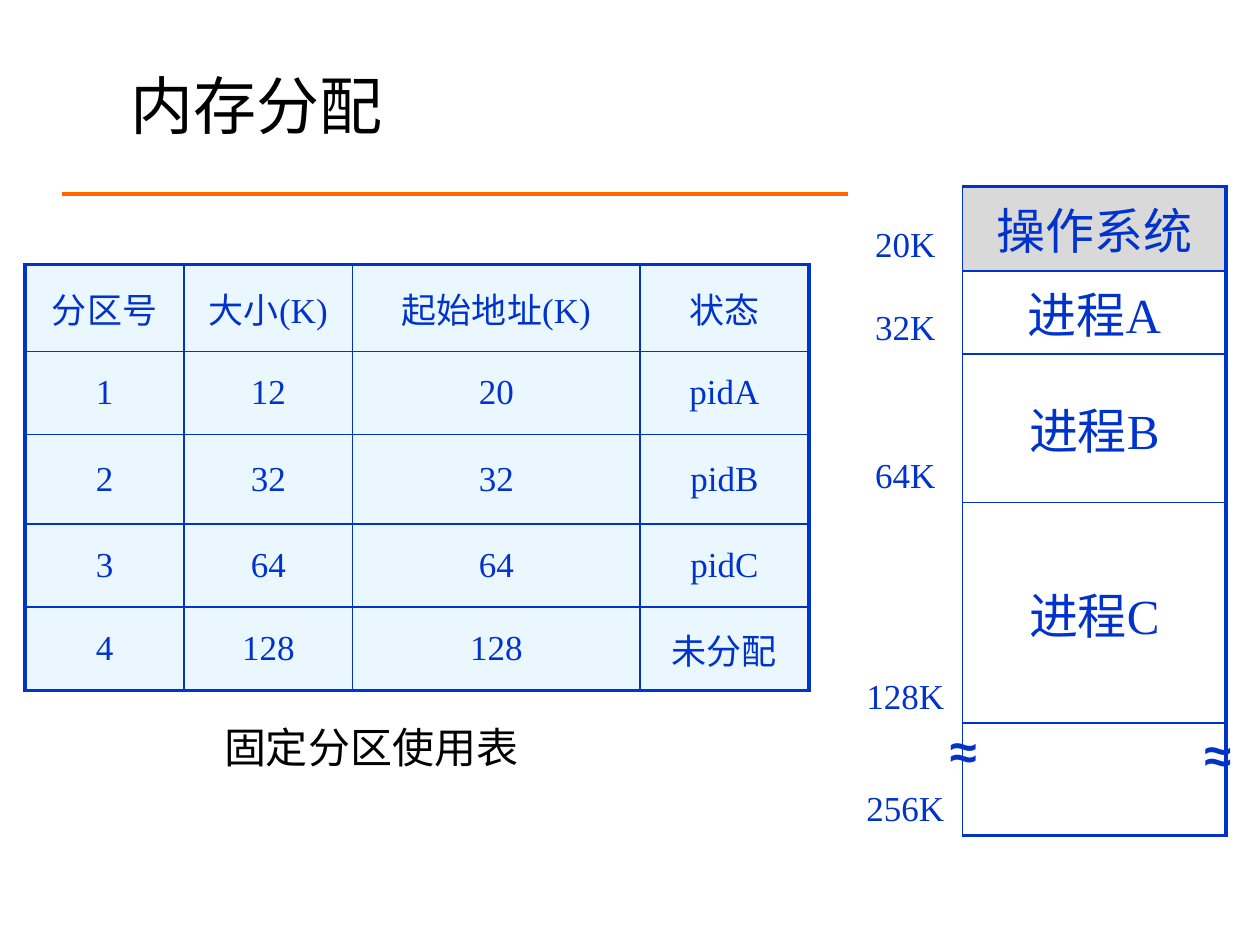
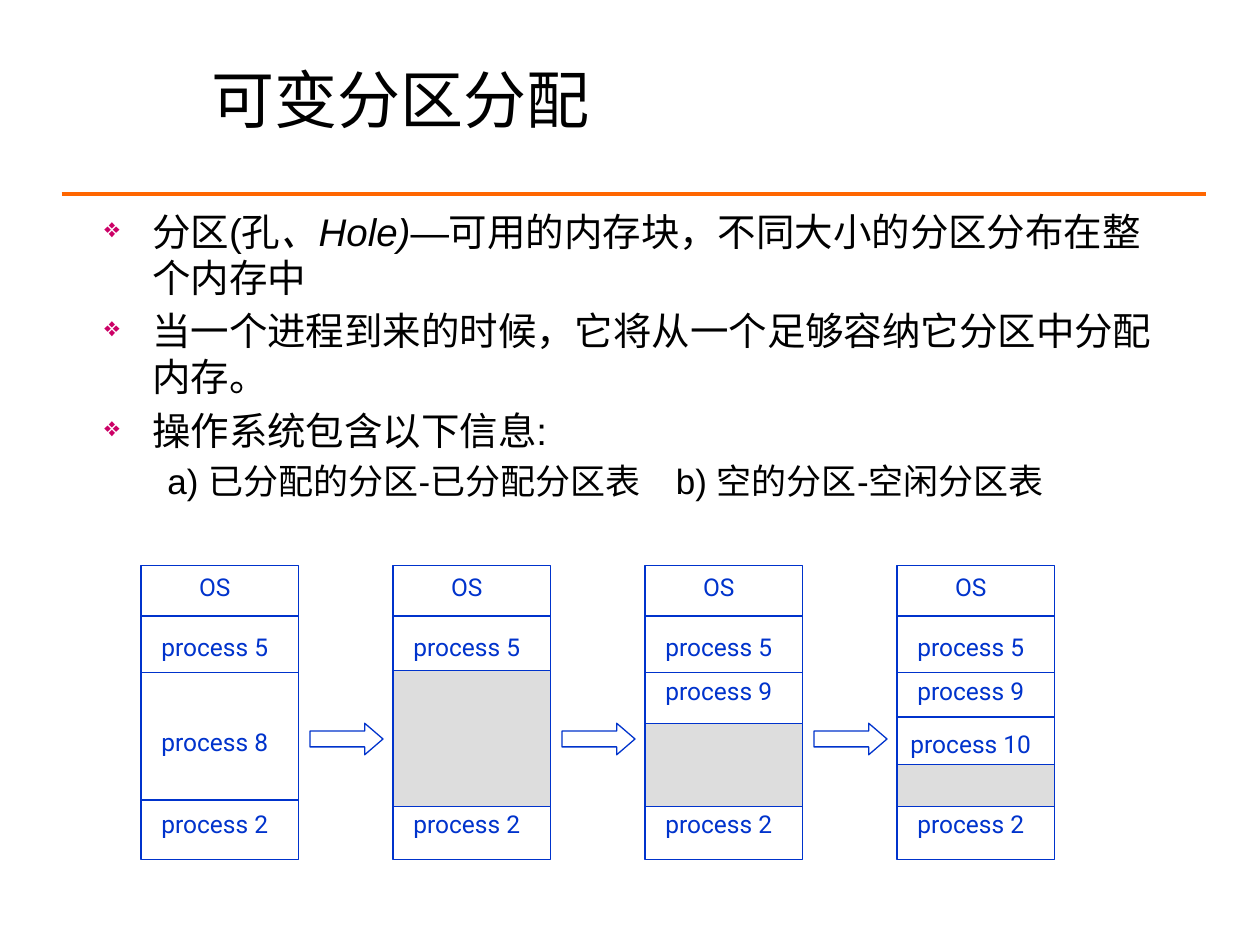
"""Build two slides on fixed and variable memory partitions."""
from lxml import etree
from pptx import Presentation
from pptx.dml.color import RGBColor
from pptx.enum.shapes import MSO_CONNECTOR, MSO_SHAPE
from pptx.enum.text import MSO_ANCHOR, PP_ALIGN
from pptx.oxml.ns import qn
from pptx.util import Inches, Pt

BLUE = RGBColor(0x00, 0x33, 0xCC)
ORANGE = RGBColor(0xFF, 0x66, 0x00)
PINK = RGBColor(0xCC, 0x00, 0x66)
BLACK = RGBColor(0x00, 0x00, 0x00)
WHITE = RGBColor(0xFF, 0xFF, 0xFF)
PALE = RGBColor(0xEB, 0xF7, 0xFF)
GREY = RGBColor(0xD9, 0xD9, 0xD9)
HOLE = RGBColor(0xDD, 0xDD, 0xDD)
LEFT, MID = PP_ALIGN.LEFT, PP_ALIGN.CENTER
TOP, HALF, LOW = MSO_ANCHOR.TOP, MSO_ANCHOR.MIDDLE, MSO_ANCHOR.BOTTOM
RECT, ARROW = MSO_SHAPE.RECTANGLE, MSO_SHAPE.RIGHT_ARROW
SANS, SERIF, LABEL = "Arial", "Times New Roman", "Roboto"


def put(frame, text, size, face=SANS, ink=BLACK, align=LEFT, bold=False):
    """Write one styled paragraph into a frame."""
    frame.word_wrap = True
    par = frame.paragraphs[0]
    par.text = text
    par.alignment = align
    font = par.font
    font.size, font.name, font.bold = Pt(size), face, bold
    font.color.rgb = ink


def rule(slide, left, right, y, ink, width):
    """Draw a level line without shadow."""
    line = slide.shapes.add_connector(
        MSO_CONNECTOR.STRAIGHT, Inches(left), Inches(y), Inches(right), Inches(y))
    line.line.color.rgb = ink
    line.line.width = Pt(width)
    etree.SubElement(line._element.spPr, qn("a:effectLst"))


deck = Presentation()
deck.slide_width, deck.slide_height = Inches(10), Inches(7.5)

pages = []
for title, area, anchor in [
    ("内存分配", (0.94, 0.47, 8.45, 0.72), HALF),
    ("可变分区分配", (1.58, 0.43, 6.93, 0.93), TOP),
]:
    page = deck.slides.add_slide(deck.slide_layouts[6])
    rule(page, 0.49, 9.57, 1.54, ORANGE, 2.25)
    frame = page.shapes.add_textbox(*map(Inches, area)).text_frame
    frame.vertical_anchor = anchor
    put(frame, title, 36)
    pages.append(page)
fixed, free = pages

caption = fixed.shapes.add_textbox(*map(Inches, (1.68, 5.68, 2.76, 0.55)))
put(caption.text_frame, "固定分区使用表", 24)

usage = [
    ("分区号", "大小(K)", "起始地址(K)", "状态"),
    ("1", "12", "20", "pidA"),
    ("2", "32", "32", "pidB"),
    ("3", "64", "64", "pidC"),
    ("4", "128", "128", "未分配"),
]
memory = [
    ("20K", "操作系统"),
    ("32K", "进程A"),
    ("64K", "进程B"),
    ("128K", "进程C"),
    ("256K", ""),
]
for data, x, y, cols, rows, scale in [
    (usage, 0.2, 2.1, (1.26, 1.34, 2.28, 1.34), (0.69, 0.66, 0.71, 0.66, 0.66), False),
    (memory, 6.73, 1.48, (0.91, 2.09), (0.67, 0.66, 1.18, 1.75, 0.89), True),
]:
    grid = fixed.shapes.add_table(
        len(rows), len(cols), *map(Inches, (x, y, sum(cols), sum(rows)))).table
    grid.first_row = grid.horz_banding = False
    for col, width in zip(grid.columns, cols):
        col.width = Inches(width)
    for r, height in enumerate(rows):
        grid.rows[r].height = Inches(height)
        for c, text in enumerate(data[r]):
            cell = grid.cell(r, c)
            mark = scale and c == 0
            put(cell.text_frame, text, 28 if scale and c else 20, SERIF, BLUE, MID)
            cell.vertical_anchor = LOW if mark else HALF
            cell.fill.solid()
            cell.fill.fore_color.rgb = (
                PALE if not scale else GREY if r == 0 and c == 1 else WHITE)
            sides = {
                "lnL": c == 0,
                "lnR": c == len(cols) - 1,
                "lnT": r == 0,
                "lnB": r == len(rows) - 1,
            }
            props = cell._tc.get_or_add_tcPr()
            for spot, (side, outer) in enumerate(sides.items()):
                edge = etree.Element(qn("a:" + side), w=str(Pt(2.25 if outer else 1)))
                if mark and side != "lnR":
                    etree.SubElement(edge, qn("a:noFill"))
                else:
                    fill = etree.SubElement(edge, qn("a:solidFill"))
                    etree.SubElement(fill, qn("a:srgbClr"), val=str(BLUE))
                props.insert(spot, edge)

for x, y in [(9.46, 5.7), (7.44, 5.67)]:
    wave = fixed.shapes.add_textbox(*map(Inches, (x, y, 0.64, 0.57)))
    put(wave.text_frame, "≈", 28, ink=BLUE, bold=True)

points = [
    [("分区(孔", False), ("、Hole)", True),
     ("—可用的内存块，不同大小的分区分布在整个内存中", False)],
    [("当一个进程到来的时候，它将从一个足够容纳它分区中分配内存。", False)],
    [("操作系统包含以下信息:", False)],
    [("a) 已分配的分区-已分配分区表　b) 空的分区-空闲分区表", False)],
]
body = free.shapes.add_textbox(*map(Inches, (0.73, 1.6, 8.66, 2.28))).text_frame
body.word_wrap = True
for i, runs in enumerate(points):
    par = body.paragraphs[0] if i == 0 else body.add_paragraph()
    sub = i == len(points) - 1
    props = par._p.get_or_add_pPr()
    props.set("marL", str(Inches(0.81 if sub else 0.38)))
    props.set("indent", str(Inches(-0.31 if sub else -0.38)))
    if i:
        par.space_before = Pt(4)
    if not sub:
        tint = etree.SubElement(props, qn("a:buClr"))
        etree.SubElement(tint, qn("a:srgbClr"), val=str(PINK))
        etree.SubElement(props, qn("a:buSzPct"), val="70000")
        etree.SubElement(props, qn("a:buChar"), char="❖")
    par.font.size, par.font.name = Pt(20 if sub else 22), SANS
    par.font.color.rgb = BLACK
    for text, slant in runs:
        run = par.add_run()
        run.text = text
        if slant:
            run.font.italic = True

WIDE, STEP, FLOOR = 1.25, 2, 6.4
ends = [("OS", 4.49), ("process 5", 4.97), ("process 2", 6.37)]
stacks = [
    ([4.89, 5.34, 6.35], None, [("process 8", 5.72)]),
    ([4.89], 5.32, []),
    ([4.89, 5.34], 5.74, [("process 9", 5.32)]),
    ([4.89, 5.34, 5.69], 6.07, [("process 9", 5.32), ("process 10", 5.74)]),
]
for i, (cuts, hole, extra) in enumerate(stacks):
    x = 1.12 + i * STEP
    parts = [(RECT, x, 4.49, WIDE, 2.33, WHITE)]
    if hole:
        parts.append((RECT, x, hole, WIDE, FLOOR - hole, HOLE))
    if i < len(stacks) - 1:
        parts.append((ARROW, x + 1.34, 5.74, 0.58, 0.25, WHITE))
    for kind, *area, tone in parts:
        part = free.shapes.add_shape(kind, *map(Inches, area))
        part.shadow.inherit = False
        part.fill.solid()
        part.fill.fore_color.rgb = tone
        part.line.color.rgb = BLUE
        part.line.width = Pt(0.75)
        if kind == ARROW:
            part.adjustments[1] = 0.58
    for y in cuts:
        rule(free, x, x + WIDE, y, BLUE, 0.75)
    for text, y in ends + extra:
        frame = free.shapes.add_textbox(*map(Inches, (x, y, 1.17, 0.33))).text_frame
        frame.margin_left = frame.margin_right = 0
        frame.vertical_anchor = HALF
        put(frame, text, 14, LABEL, BLUE, MID)

deck.save("out.pptx")
